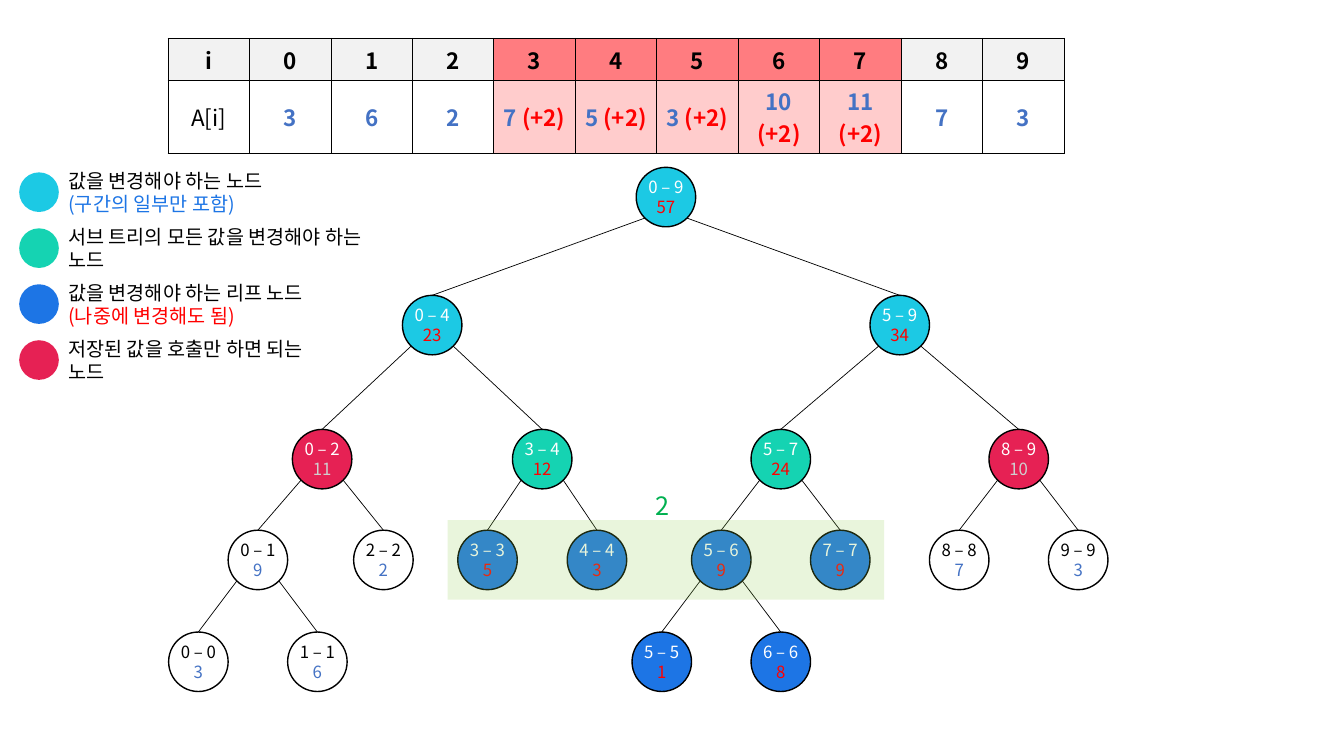
from lxml import etree
from pptx import Presentation, util as u
from pptx.dml.color import RGBColor
from pptx.enum import shapes, text
from pptx.oxml.ns import qn

COLORS = {
    "black": "000000", "white": "FFFFFF", "red": "FF0000", "number": "4472C4",
    "silver": "D0CECE", "cyan": "1CC9E4", "green": "15D3B2", "blue": "1D75E5",
    "crimson": "E62154", "band": "92D050", "tag": "00B050",
    "head": "F2F2F2", "head_hit": "FF7C80", "cell_hit": "FFCCCC",
}
FONT = "Noto Sans CJK KR"
W, H = 13.33, 7.5
NODE = 0.59            # node diameter, also one column of the tree
LEVELS = [1.66, 2.93, 4.26, 5.26, 6.27]
ROOT_X = 6.605
DIAGONAL = 0.5 ** 0.5

# role: fill, range colour, value colour
ROLES = {
    "part": ("cyan", "white", "red"),
    "whole": ("green", "white", "red"),
    "leaf": ("blue", "white", "red"),
    "stored": ("crimson", "white", "silver"),
    "plain": (None, "black", "number"),
}
# way down from the root, columns from the parent, role, stored value
NODES = [
    ("", 0, "part", 57),
    ("L", -3.93, "part", 23), ("R", 3.93, "part", 34),
    ("LL", -1.85, "stored", 11), ("LR", 1.85, "whole", 12),
    ("RL", -2, "whole", 24), ("RR", 2, "stored", 10),
    ("LLL", -1.08, "plain", 9), ("LLR", 1.03, "plain", 2),
    ("LRL", -0.92, "leaf", 5), ("LRR", 0.92, "leaf", 3),
    ("RLL", -1, "leaf", 9), ("RLR", 1, "leaf", 9),
    ("RRL", -1, "plain", 7), ("RRR", 1, "plain", 3),
    ("LLLL", -1, "plain", 3), ("LLLR", 1, "plain", 6),
    ("RLLL", -1, "leaf", 1), ("RLLR", 1, "leaf", 8),
]
ARRAY = [3, 6, 2, 7, 5, 3, 10, 11, 7, 3]
UPDATED = range(3, 8)
LEGEND = [
    ("cyan", 2.83, [("값을 변경해야 하는 노드", "black"), ("(구간의 일부만 포함)", "blue")]),
    ("green", 3.5, [("서브 트리의 모든 값을 변경해야 하는 노드", "black")]),
    ("blue", 2.83, [("값을 변경해야 하는 리프 노드", "black"), ("(나중에 변경해도 됨)", "red")]),
    ("crimson", 2.91, [("저장된 값을 호출만 하면 되는 노드", "black")]),
]


def rgb(name):
    """Return the named colour."""
    return RGBColor.from_string(COLORS[name])


def inches(*lengths):
    """Turn lengths in inches into slide units."""
    return [u.Inches(n) for n in lengths]


def add_run(p, content, color, size, bold=False):
    """Append one formatted run to a paragraph."""
    r = p.add_run()
    r.text = content
    r.font.name, r.font.size, r.font.bold = FONT, u.Pt(size), bold
    r.font.color.rgb = rgb(color)
    etree.SubElement(r._r.get_or_add_rPr(), qn("a:ea"), typeface=FONT)


def add_lines(tf, lines, size, align):
    """Write (text, colour) lines into one paragraph with line breaks."""
    tf.word_wrap = True
    tf.vertical_anchor = text.MSO_ANCHOR.MIDDLE
    p = tf.paragraphs[0]
    p.alignment = align
    for i, (content, color) in enumerate(lines):
        if i:
            p.add_line_break()
        add_run(p, content, color, size)


def add_filled(parent, kind, box, fill, line=None):
    """Add a flat preset shape, with an outline only if a colour is given."""
    sp = parent.add_shape(kind, *inches(*box))
    sp.shadow.inherit = False
    if fill:
        sp.fill.solid()
        sp.fill.fore_color.rgb = rgb(fill)
    else:
        sp.fill.background()
    if line:
        sp.line.color.rgb = rgb(line)
        sp.line.width = u.Pt(1)
    else:
        sp.line.fill.background()
    return sp


def add_label(parent, box, lines, size, align=text.PP_ALIGN.LEFT):
    """Add a wrapping text box."""
    add_lines(parent.add_textbox(*inches(*box)).text_frame, lines, size, align)


def add_node(parent, x, level, role, span, value):
    """Add a tree node centred on x, showing its range and value."""
    fill, span_color, value_color = ROLES[role]
    sp = add_filled(parent, shapes.MSO_SHAPE.OVAL,
                    (x - NODE / 2, LEVELS[level], NODE, NODE), fill, "black")
    tf = sp.text_frame
    tf.margin_left = tf.margin_right = tf.margin_top = tf.margin_bottom = 0
    add_lines(tf, [(f"{span[0]} – {span[1]}", span_color), (str(value), value_color)],
              12, text.PP_ALIGN.CENTER)
    return sp


def add_branch(parent, x, level, side, child):
    """Join the lower left or right of a node to the top of its child."""
    reach = NODE / 2 * DIAGONAL
    start = inches(x + side * reach, LEVELS[level] + NODE / 2 + reach)
    line = parent.add_connector(shapes.MSO_CONNECTOR.STRAIGHT, *start, *start)
    line.end_connect(child, 0)
    line.line.color.rgb = rgb("black")
    line.line.width = u.Pt(0.5)
    etree.SubElement(line._element.spPr, qn("a:effectLst"))


def add_tree(s):
    """Build the segment tree, halving the range at each step down."""
    tree = s.shapes.add_group_shape().shapes
    placed = {}
    for way, offset, role, value in NODES:
        level = len(way)
        x, span = ROOT_X, (0, len(ARRAY) - 1)
        if way:
            parent_x, (low, high) = placed[way[:-1]]
            x = parent_x + offset * NODE
            middle = (low + high) // 2
            span = (low, middle) if way[-1] == "L" else (middle + 1, high)
        sp = add_node(tree, x, level, role, span, value)
        if way:
            add_branch(tree, parent_x, level - 1, -1 if way[-1] == "L" else 1, sp)
        placed[way] = x, span


def fill_cell(cell, fill, runs, bold=True):
    """Fill one table cell, border it and write its (text, colour) runs."""
    tc = cell._tc.get_or_add_tcPr()
    for side in ("lnL", "lnR", "lnT", "lnB"):
        ln = etree.SubElement(tc, qn("a:" + side), w=str(u.Pt(0.5)))
        solid = etree.SubElement(ln, qn("a:solidFill"))
        etree.SubElement(solid, qn("a:srgbClr"), val=COLORS["black"])
    cell.fill.solid()
    cell.fill.fore_color.rgb = rgb(fill)
    cell.vertical_anchor = text.MSO_ANCHOR.MIDDLE
    p = cell.text_frame.paragraphs[0]
    p.alignment = text.PP_ALIGN.CENTER
    for content, color in runs:
        add_run(p, content, color, 16, bold)


def add_array(s):
    """Add the table of indices and values, marking the updated ones."""
    columns = len(ARRAY) + 1
    table = s.shapes.add_table(2, columns, *inches(W / 8, 0.38, W * 2 / 3, 0.82)).table
    table.first_row = table.horz_banding = False
    fill_cell(table.cell(0, 0), "head", [("i", "black")])
    fill_cell(table.cell(1, 0), "white", [("A[i]", "black")], bold=False)
    for i, value in enumerate(ARRAY):
        hit = i in UPDATED
        runs = [(f"{value} ", "number"), ("(+2)", "red")] if hit else [(str(value), "number")]
        fill_cell(table.cell(0, i + 1), "head_hit" if hit else "head", [(str(i), "black")])
        fill_cell(table.cell(1, i + 1), "cell_hit" if hit else "white", runs)
    for c in range(columns):
        cell = table.cell(1, c)
        cell.margin_left = cell.margin_right = u.Inches(0.04)
        cell.margin_top = cell.margin_bottom = u.Inches(0.04)


def add_legend(s):
    """Add the colour key in evenly spaced rows."""
    key = s.shapes.add_group_shape().shapes
    dot = NODE * 2 / 3
    for row, (color, width, lines) in enumerate(LEGEND):
        top = 1.71 + row * 0.555
        add_filled(key, shapes.MSO_SHAPE.OVAL, (0.19, top, dot, dot), color)
        add_label(key, (0.58, top, width, dot), lines, 14)


def add_lazy_band(s):
    """Lay a translucent band with its pending value over the updated leaves."""
    band = add_filled(s.shapes, shapes.MSO_SHAPE.RECTANGLE, (4.44, 5.16, 4.33, 0.79), "band")
    clr = band._element.spPr.find(".//" + qn("a:srgbClr"))
    etree.SubElement(clr, qn("a:alpha"), val="20000")
    add_label(s.shapes, (6.39, 4.81, 0.36, 0.4), [("2", "tag")], 18, text.PP_ALIGN.CENTER)


def main():
    """Build and save the slide."""
    prs = Presentation()
    prs.slide_width, prs.slide_height = inches(W, H)
    s = prs.slides.add_slide(prs.slide_layouts[6])
    add_tree(s)
    add_array(s)
    add_legend(s)
    add_lazy_band(s)
    prs.save("out.pptx")


main()
